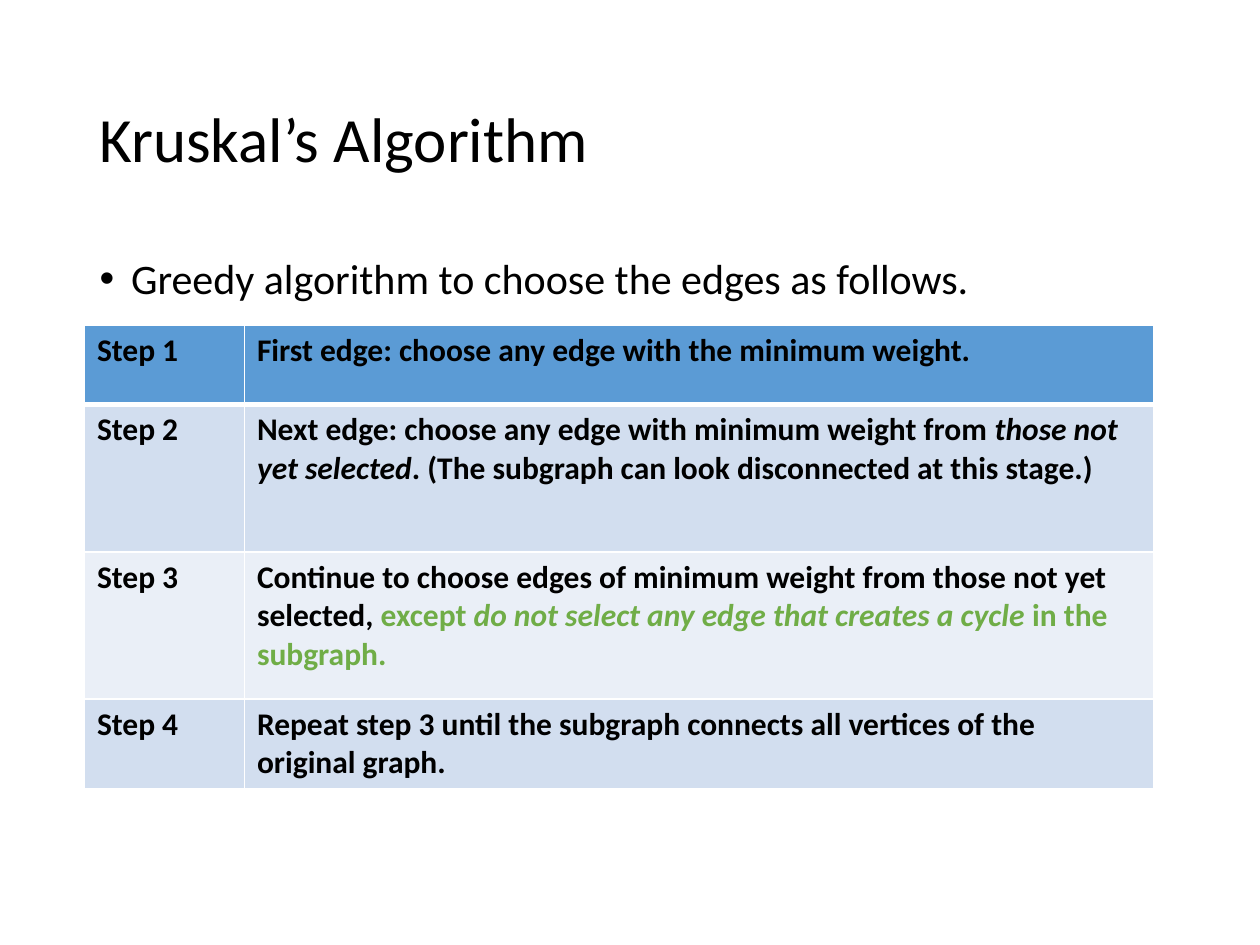
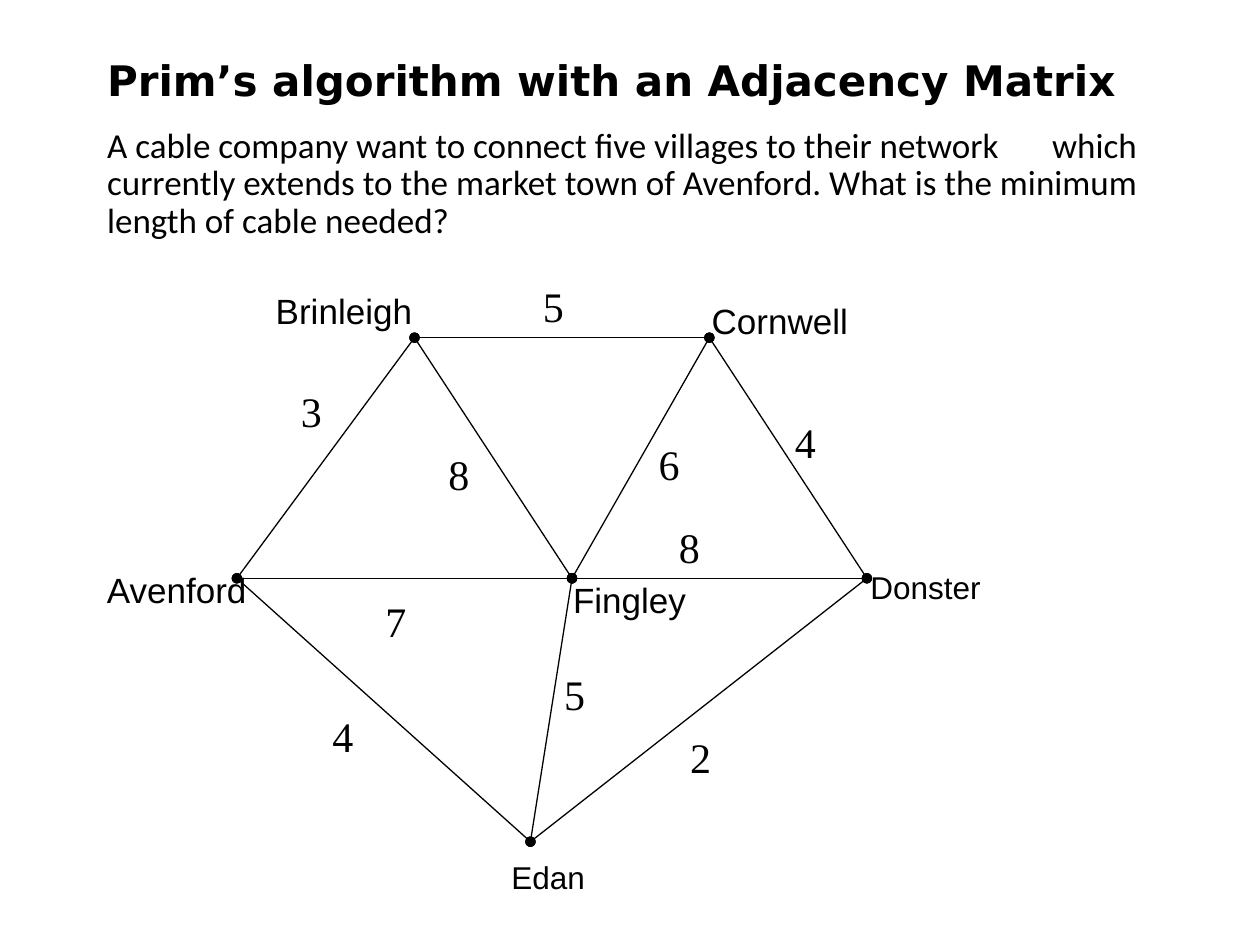
from lxml.etree import SubElement
from pptx import Presentation
from pptx.dml.color import RGBColor
from pptx.enum.shapes import MSO_CONNECTOR
from pptx.enum.text import MSO_ANCHOR, MSO_AUTO_SIZE, PP_ALIGN
from pptx.oxml.ns import qn
from pptx.util import Inches, Pt

BLACK, WHITE, GREEN = "000000", "FFFFFF", "70AD47"
HEADER_BLUE, BAND_BLUE, PALE_BLUE = "5B9BD5", "D2DEEF", "EAEFF7"
BODY_FONT, HEADING_FONT = "Calibri", "DejaVu Sans"
LABEL_FONT, WEIGHT_FONT = "Arial", "Times New Roman"

# Each step is a list of (text, italic, colour) runs
STEPS = [
    [("First edge: choose any edge with the minimum weight.", False, BLACK)],
    [("Next edge: choose any edge with minimum weight from ", False, BLACK),
     ("those not yet selected", True, BLACK),
     (". (The subgraph can look disconnected at this stage.)", False, BLACK)],
    [("Continue to choose edges of minimum weight from those not yet selected, ", False, BLACK),
     ("except ", False, GREEN),
     ("do not select any edge that creates a cycle", True, GREEN),
     (" in the subgraph.", False, GREEN)],
    [("Repeat step 3 until the subgraph connects all vertices of the original graph.",
      False, BLACK)],
]
ROW_HEIGHTS = [0.63, 1.17, 1.17, 0.71]
ROW_FILLS = [HEADER_BLUE, BAND_BLUE, PALE_BLUE, BAND_BLUE]

# Village: (vertex x, y), (label x, y, width), label size; relative to the graph
VILLAGES = {
    "Avenford": ((1.13, 2.41), (0, 2.28, 1.34), 20),
    "Brinleigh": ((2.54, 0.5), (1.34, 0.07, 1.3), 20),
    "Cornwell": ((4.88, 0.5), (4.8, 0.15, 1.42), 20),
    "Donster": ((6.13, 2.41), (6.06, 2.28, 1.51), 18),
    "Edan": ((3.46, 4.5), (3.21, 4.58, 1.04), 18),
    "Fingley": ((3.79, 2.41), (3.7, 2.36, 1.16), 20),
}
# Cable: start, end, length in the graph, place of that number
CABLES = [
    ("Avenford", "Brinleigh", 3, (1.54, 0.83)),
    ("Brinleigh", "Cornwell", 5, (3.46, 0)),
    ("Cornwell", "Donster", 4, (5.46, 1.08)),
    ("Avenford", "Fingley", 7, (2.21, 2.5)),
    ("Fingley", "Donster", 8, (4.54, 1.91)),
    ("Brinleigh", "Fingley", 8, (2.71, 1.33)),
    ("Fingley", "Cornwell", 6, (4.38, 1.25)),
    ("Avenford", "Edan", 4, (1.79, 3.41)),
    ("Edan", "Fingley", 5, (3.63, 3.08)),
    ("Edan", "Donster", 2, (4.63, 3.58)),
]


def color(hex_string):
    return RGBColor.from_string(hex_string)


def format_font(font, name, size, bold=False):
    font.name, font.size, font.bold = name, Pt(size), bold
    font.color.rgb = color(BLACK)


def fill_placeholder(shape, box, text, size, font=BODY_FONT, bold=False,
                     anchor=MSO_ANCHOR.MIDDLE, spacing=0.9, bullet=False, tab=None):
    """Place a title or body placeholder and give it one paragraph."""
    shape.left, shape.top, shape.width, shape.height = map(Inches, box)
    frame = shape.text_frame
    frame.text = text
    frame.auto_size = MSO_AUTO_SIZE.NONE
    frame.word_wrap = True
    frame.vertical_anchor = anchor
    paragraph = frame.paragraphs[0]
    paragraph.alignment = PP_ALIGN.LEFT
    paragraph.line_spacing = spacing
    paragraph.space_before = Pt(0)
    properties = paragraph._p.get_or_add_pPr()
    indent = Inches(0.25) if bullet else 0
    properties.set("marL", str(indent))
    properties.set("indent", str(-indent))
    if bullet:
        SubElement(properties, qn("a:buFont"), typeface="Arial")
        SubElement(properties, qn("a:buChar"), char="•")
    else:
        SubElement(properties, qn("a:buNone"))
    if tab:
        tabs = SubElement(properties, qn("a:tabLst"))
        SubElement(tabs, qn("a:tab"), pos=str(Inches(tab)), algn="l")
    format_font(paragraph.font, font, size, bold)


def set_borders(cell, bottom_width):
    """White cell borders; these elements come before the fill."""
    properties = cell._tc.get_or_add_tcPr()
    for index, side in enumerate("LRTB"):
        width = bottom_width if side == "B" else 1
        line = SubElement(properties, qn("a:ln" + side), w=str(Pt(width)))
        fill = SubElement(line, qn("a:solidFill"))
        SubElement(fill, qn("a:srgbClr"), val=WHITE)
        properties.insert(index, line)


def add_steps_table(slide, left, top, width, height):
    table = slide.shapes.add_table(len(STEPS), 2, Inches(left), Inches(top),
                                   Inches(width), Inches(height)).table
    table.first_row = table.horz_banding = False
    step_width = 1.27
    table.columns[0].width = Inches(step_width)
    table.columns[1].width = Inches(width - step_width)
    for row, runs in enumerate(STEPS):
        table.rows[row].height = Inches(ROW_HEIGHTS[row])
        contents = [[(f"Step {row + 1}", False, BLACK)], runs]
        for column, cell_runs in enumerate(contents):
            cell = table.cell(row, column)
            cell.fill.solid()
            cell.fill.fore_color.rgb = color(ROW_FILLS[row])
            set_borders(cell, 3 if row == 0 else 1)
            paragraph = cell.text_frame.paragraphs[0]
            format_font(paragraph.font, BODY_FONT, 18, bold=True)
            for text, italic, run_color in cell_runs:
                run = paragraph.add_run()
                run.text = text
                run.font.italic = italic
                run.font.color.rgb = color(run_color)


def add_label(slide, left, top, width, height, text, font, size):
    box = slide.shapes.add_textbox(*map(Inches, (left, top, width, height)))
    frame = box.text_frame
    frame.word_wrap = True
    frame.text = text
    format_font(frame.paragraphs[0].font, font, size)


def add_cable(slide, start, end):
    """A thin line with a dot on the vertex at each end."""
    line = slide.shapes.add_connector(MSO_CONNECTOR.STRAIGHT,
                                      *map(Inches, (*start, *end)))
    line.line.color.rgb = color(BLACK)
    line.line.width = Pt(0.75)
    outline = line.line._get_or_add_ln()
    for tag in ("a:headEnd", "a:tailEnd"):
        SubElement(outline, qn(tag), type="oval")
    SubElement(line._element.spPr, qn("a:effectLst"))


def add_village_graph(slide, left, top):
    vertices = {name: (left + x, top + y) for name, ((x, y), _, _) in VILLAGES.items()}
    for start, end, _, _ in CABLES:
        add_cable(slide, vertices[start], vertices[end])
    for name, (_, (x, y, width), size) in VILLAGES.items():
        add_label(slide, left + x, top + y, width, 0.43, name, LABEL_FONT, size)
    for _, _, length, (x, y) in CABLES:
        add_label(slide, left + x, top + y, 0.5, 0.5, str(length), WEIGHT_FONT, 24)


def add_kruskal_slide(presentation):
    slide = presentation.slides.add_slide(presentation.slide_layouts[1])
    title, body = slide.placeholders
    fill_placeholder(title, (0.69, 0.4, 8.62, 1.45), "Kruskal’s Algorithm", 36)
    fill_placeholder(body, (0.69, 2, 8.62, 4.76),
                     "Greedy algorithm to choose the edges as follows.", 24,
                     anchor=MSO_ANCHOR.TOP, bullet=True)
    add_steps_table(slide, 0.67, 2.58, 8.49, sum(ROW_HEIGHTS))


def add_prim_slide(presentation):
    slide = presentation.slides.add_slide(presentation.slide_layouts[1])
    title, body = slide.placeholders
    fill_placeholder(title, (0.75, 0.38, 8.26, 0.91),
                     "Prim’s algorithm with an Adjacency Matrix", 24,
                     HEADING_FONT, bold=True, anchor=MSO_ANCHOR.TOP, spacing=1.0)
    title.text_frame.word_wrap = False
    fill_placeholder(body, (0.75, 0.84, 8.5, 1.25),
                     "A cable company want to connect five villages to their network\twhich "
                     "currently extends to the market town of Avenford. What is the minimum "
                     "length of cable needed?", 20, tab=7.39)
    add_village_graph(slide, 0.75, 2.18)


def main():
    presentation = Presentation()
    presentation.slide_width, presentation.slide_height = Inches(10), Inches(7.5)
    add_kruskal_slide(presentation)
    add_prim_slide(presentation)
    presentation.save("out.pptx")


if __name__ == "__main__":
    main()
